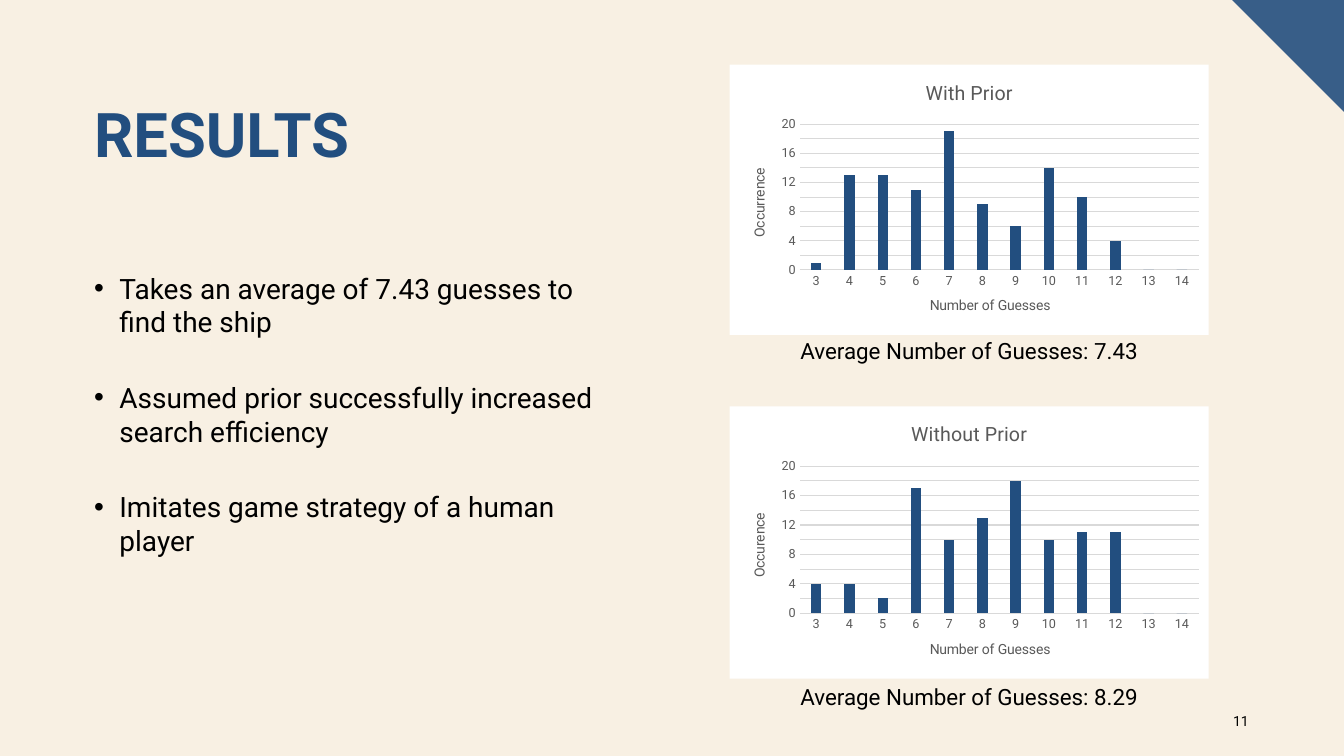
from dataclasses import dataclass
from typing import Any

import lxml.etree
import pptx
import pptx.chart.data
import pptx.dml.color
import pptx.enum.chart
import pptx.enum.text
import pptx.oxml.ns
import pptx.util

Cm = pptx.util.Cm
Pt = pptx.util.Pt
qn = pptx.oxml.ns.qn
Align = pptx.enum.text.PP_ALIGN
Anchor = pptx.enum.text.MSO_ANCHOR

NAVY = "224E7F"
GREY = "595959"
RULE = "D9D9D9"
BLACK = "000000"


@dataclass
class Box:
    left: float
    top: float
    width: float
    height: float


@dataclass
class Histogram:
    title: str
    value_title: str
    average: str
    counts: list[int]
    box: Box
    caption: Box


HISTOGRAMS = [
    Histogram("With Prior", "Occurrence", "7.43",
              [1, 13, 13, 11, 19, 9, 6, 14, 10, 4, 0, 0],
              Box(18.39, 1.63, 12.07, 6.81), Box(19, 8.38, 10.85, 0.94)),
    Histogram("Without Prior", "Occurence", "8.29",
              [4, 4, 2, 17, 10, 13, 18, 10, 11, 11, 0, 0],
              Box(18.39, 10.24, 12.07, 6.86), Box(19, 17.09, 10.85, 0.94)),
]
BULLETS = [
    "Takes an average of 7.43 guesses to find the ship",
    "Assumed prior successfully increased search efficiency",
    "Imitates game strategy of a human player",
]


def rgb(value: str) -> pptx.dml.color.RGBColor:
    return pptx.dml.color.RGBColor.from_string(value)


def apply(target: Any, formats: dict[str, Any]) -> None:
    for name, value in formats.items():
        setattr(target, name, value)


def solid(fill: Any, colour: str) -> None:
    fill.solid()
    fill.fore_color.rgb = rgb(colour)


def style_font(font: Any, size: float, colour: str, bold: bool = False) -> None:
    apply(font, {"name": "Roboto", "size": Pt(size), "bold": bold})
    font.color.rgb = rgb(colour)


def lengths(box: Box) -> list[Any]:
    return [Cm(v) for v in (box.left, box.top, box.width, box.height)]


def place(sp: Any, box: Box) -> None:
    apply(sp, dict(zip(("left", "top", "width", "height"), lengths(box))))


def add_bullet(p: Any) -> None:
    pPr = p._p.get_or_add_pPr()
    pPr.set("marL", str(Cm(0.635)))
    pPr.set("indent", str(-Cm(0.635)))
    lxml.etree.SubElement(pPr, qn("a:buFont")).set("typeface", "Arial")
    lxml.etree.SubElement(pPr, qn("a:buChar")).set("char", "•")


def add_label(slide: Any, box: Box, text: str, size: float, align: Any, anchor: Any) -> None:
    tf = slide.shapes.add_textbox(*lengths(box)).text_frame
    apply(tf, {"word_wrap": True, "vertical_anchor": anchor})
    p = tf.paragraphs[0]
    p.alignment = align
    r = p.add_run()
    r.text = text
    style_font(r.font, size, BLACK)


def set_title(owner: Any, text: str, size: float) -> None:
    tf = (owner.chart_title if hasattr(owner, "chart_title") else owner.axis_title).text_frame
    tf.text = text
    style_font(tf.paragraphs[0].runs[0].font, size, GREY)


def set_plot_layout(chart: Any) -> None:
    area = chart.element.find(qn("c:chart")).find(qn("c:plotArea"))
    old = area.find(qn("c:layout"))
    if old is not None:
        area.remove(old)
    layout = lxml.etree.Element(qn("c:layout"))
    manual = lxml.etree.SubElement(layout, qn("c:manualLayout"))
    values = {"layoutTarget": "inner", "xMode": "edge", "yMode": "edge",
              "x": "0.146", "y": "0.22", "w": "0.833", "h": "0.54"}
    for name, value in values.items():
        lxml.etree.SubElement(manual, qn(f"c:{name}")).set("val", value)
    area.insert(0, layout)


def set_white_area(chart: Any) -> None:
    spPr = lxml.etree.Element(qn("c:spPr"))
    fill = lxml.etree.SubElement(spPr, qn("a:solidFill"))
    lxml.etree.SubElement(fill, qn("a:srgbClr")).set("val", "FFFFFF")
    line = lxml.etree.SubElement(spPr, qn("a:ln"))
    lxml.etree.SubElement(line, qn("a:noFill"))
    chart.element.find(qn("c:chart")).addnext(spPr)


def add_histogram(slide: Any, item: Histogram) -> None:
    data = pptx.chart.data.CategoryChartData()
    data.categories = [str(n) for n in range(3, 15)]
    data.add_series("Series 1", item.counts)
    kind = pptx.enum.chart.XL_CHART_TYPE.COLUMN_CLUSTERED
    chart = slide.shapes.add_chart(kind, *lengths(item.box), data).chart
    chart.has_legend = False
    style_font(chart.font, 10, BLACK)
    set_title(chart, item.title, 14)

    plot = chart.plots[0]
    apply(plot, {"gap_width": 219, "overlap": -27, "vary_by_categories": False})
    solid(plot.series[0].format.fill, NAVY)

    x, y = chart.category_axis, chart.value_axis
    for axis, text in ((x, "Number of Guesses"), (y, item.value_title)):
        axis.major_tick_mark = pptx.enum.chart.XL_TICK_MARK.NONE
        style_font(axis.tick_labels.font, 9, GREY)
        set_title(axis, text, 10)
    apply(y, {"minimum_scale": 0, "maximum_scale": 20, "major_unit": 2})
    y.format.line.fill.background()
    for line in (x.format.line, y.major_gridlines.format.line):
        solid(line.fill, RULE)
        line.width = Pt(0.75)
    set_plot_layout(chart)
    set_white_area(chart)
    add_label(slide, item.caption, f"Average Number of Guesses: {item.average}",
              16, Align.CENTER, Anchor.TOP)


def add_corner(slide: Any, width: float, side: float) -> None:
    builder = slide.shapes.build_freeform(Cm(width), Cm(side))
    builder.add_line_segments([(Cm(width - side), 0), (Cm(width), 0)], close=True)
    sp = builder.convert_to_shape()
    sp.shadow.inherit = False
    solid(sp.fill, "385E88")
    sp.line.fill.background()


def main() -> None:
    prs = pptx.Presentation()
    apply(prs, {"slide_width": Cm(33.87), "slide_height": Cm(19.05)})
    slide = prs.slides.add_slide(prs.slide_layouts[1])
    solid(slide.background.fill, "F8F0E3")
    add_corner(slide, 33.87, 2.82)

    frame = {"word_wrap": True, "vertical_anchor": Anchor.TOP,
             "auto_size": pptx.enum.text.MSO_AUTO_SIZE.NONE}
    title, body = slide.shapes.title, slide.placeholders[1]
    place(title, Box(2.12, 2.49, 29.63, 3.68))
    place(body, Box(2.12, 6.71, 13.87, 10.39))
    for sp in (title, body):
        apply(sp.text_frame, frame)

    p = title.text_frame.paragraphs[0]
    p.text = "RESULTS"
    apply(p, {"alignment": Align.LEFT, "line_spacing": 0.9})
    style_font(p.runs[0].font, 44, NAVY, True)

    tf = body.text_frame
    for i, text in enumerate(BULLETS):
        p = tf.add_paragraph() if i else tf.paragraphs[0]
        p.text = text
        add_bullet(p)
        apply(p, {"space_before": Pt(0), "space_after": Pt(30)})
        style_font(p.runs[0].font, 20, BLACK)

    for item in HISTOGRAMS:
        add_histogram(slide, item)
    add_label(slide, Box(30.45, 17.65, 1.27, 1.02), "11", 10, Align.RIGHT, Anchor.MIDDLE)
    prs.save("out.pptx")


if __name__ == "__main__":
    main()
